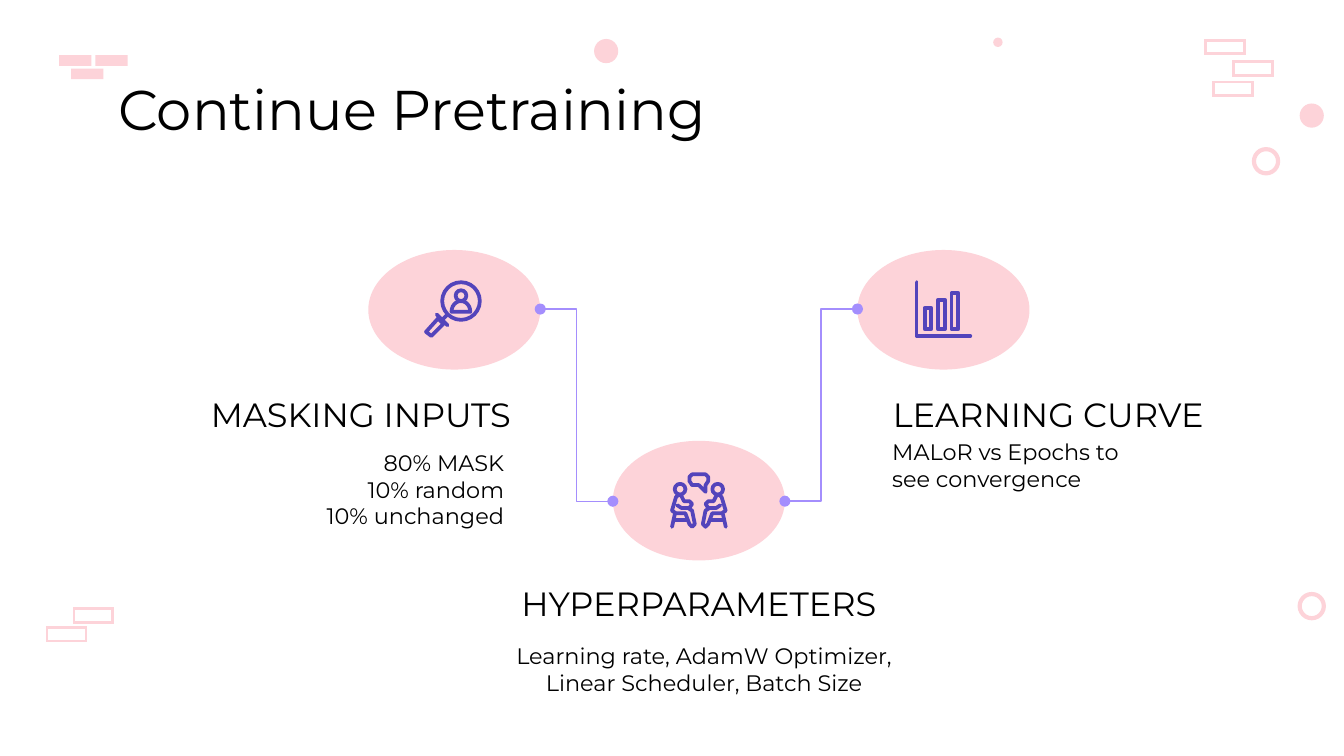
from dataclasses import dataclass
from math import cos, pi, sin

from lxml import etree
from pptx import Presentation
from pptx.dml.color import RGBColor
from pptx.enum import shapes as kinds, text as txt
from pptx.oxml.ns import qn
from pptx.util import Inches, Pt


@dataclass
class Theme:
    font: str = "Montserrat"
    ink: str = "000000"
    paper: str = "FFFFFF"
    pink: str = "FDD3D9"
    violet: str = "A48EFD"
    indigo: str = "5344BB"
    title: int = 30
    heading: int = 18
    body: int = 12


theme = Theme()
OVAL = kinds.MSO_SHAPE.OVAL
RECT = kinds.MSO_SHAPE.RECTANGLE
LEFT, CENTER, RIGHT = txt.PP_ALIGN.LEFT, txt.PP_ALIGN.CENTER, txt.PP_ALIGN.RIGHT
TOP, MIDDLE, BOTTOM = txt.MSO_ANCHOR.TOP, txt.MSO_ANCHOR.MIDDLE, txt.MSO_ANCHOR.BOTTOM

# Widescreen slide, 16 to 9
deck = Presentation()
deck.slide_width = Inches(10)
deck.slide_height = Inches(10) * 9 // 16
slide = deck.slides.add_slide(deck.slide_layouts[6])
slide.background.fill.solid()
slide.background.fill.fore_color.rgb = RGBColor.from_string(theme.paper)


def paint(shape, fill=None, line=None, weight=1.5, join="round"):
    """Give a shape a plain fill, an outline, or both."""
    shape.shadow.inherit = False
    if fill:
        shape.fill.solid()
        shape.fill.fore_color.rgb = RGBColor.from_string(fill)
    else:
        shape.fill.background()
    if line:
        shape.line.color.rgb = RGBColor.from_string(line)
        shape.line.width = Pt(weight)
        outline = shape.line._get_or_add_ln()
        outline.set("cap", "rnd" if join == "round" else "flat")
        etree.SubElement(outline, qn(f"a:{join}"))
    else:
        shape.line.fill.background()


def add_preset(kind, left, top, width, height, **style):
    shape = slide.shapes.add_shape(
        kind, Inches(left), Inches(top), Inches(width), Inches(height))
    paint(shape, **style)


# Corner decoration: solid bricks, outlined bricks, dots and rings
for left, top in [(0.53, 0.51), (0.44, 0.41), (0.71, 0.41)]:
    add_preset(RECT, left, top, 0.24, 0.08, fill=theme.pink)
for left, top in [(9.18, 0.46), (8.97, 0.3), (9.03, 0.61), (0.55, 4.53), (0.35, 4.67)]:
    add_preset(RECT, left, top, 0.29, 0.1, line=theme.pink, join="miter")
for left, top, size in [(7.39, 0.28, 0.07), (9.67, 0.77, 0.18), (4.42, 0.29, 0.18)]:
    add_preset(OVAL, left, top, size, size, fill=theme.pink)
for left, top in [(9.67, 4.42), (9.33, 1.11)]:
    add_preset(OVAL, left, top, 0.18, 0.18, line=theme.pink, weight=2.25)

# Title, headings and descriptions
texts = [
    ("Continue Pretraining", 0.78, 0.58, 7.88, 0.45, theme.title, LEFT, MIDDLE),
    ("HYPERPARAMETERS", 3.52, 4.25, 3.36, 0.49, theme.heading, CENTER, BOTTOM),
    ("Learning rate, AdamW Optimizer, Linear Scheduler, Batch Size",
     3.61, 4.68, 3.26, 0.89, theme.body, CENTER, TOP),
    ("LEARNING CURVE", 6.12, 2.84, 3.36, 0.49, theme.heading, CENTER, BOTTOM),
    ("MALoR vs Epochs to see convergence",
     6.54, 3.16, 2.03, 0.67, theme.body, LEFT, TOP),
    ("MASKING INPUTS", 1.42, 2.84, 2.53, 0.49, theme.heading, CENTER, BOTTOM),
    ("80% MASK\v10% random\v10% unchanged",
     1.88, 3.24, 1.97, 0.67, theme.body, RIGHT, TOP),
]
for wording, left, top, width, height, size, align, anchor in texts:
    frame = slide.shapes.add_textbox(
        Inches(left), Inches(top), Inches(width), Inches(height)).text_frame
    frame.word_wrap = True
    frame.vertical_anchor = anchor
    frame.margin_left = frame.margin_right = Inches(0.1)
    frame.margin_top = frame.margin_bottom = Inches(0.1)
    frame.text = wording
    paragraph = frame.paragraphs[0]
    paragraph.alignment = align
    paragraph.font.name = theme.font
    paragraph.font.size = Pt(size)
    paragraph.font.color.rgb = RGBColor.from_string(theme.ink)

# Three step ovals, evenly spaced
for step, top in enumerate([1.86, 3.28, 1.86]):
    add_preset(OVAL, 2.74 + 1.82 * step, top, 1.28, 0.89, fill=theme.pink)

# Elbow links between the steps
for start_x, start_y, end_x, end_y in [(4.02, 2.3, 4.56, 3.73), (5.84, 3.73, 6.38, 2.3)]:
    link = slide.shapes.add_connector(
        kinds.MSO_CONNECTOR.ELBOW,
        Inches(start_x), Inches(start_y), Inches(end_x), Inches(end_y))
    link.line.color.rgb = RGBColor.from_string(theme.violet)
    link.line.width = Pt(0.75)
    for end in ("a:headEnd", "a:tailEnd"):
        etree.SubElement(link.line._get_or_add_ln(), qn(end), type="oval")
    etree.SubElement(link._element.spPr, qn("a:effectLst"))

# Icon rounds: lens, its portrait head, two interviewers' heads
for center_x, center_y, radius in [(3.43, 2.24, 0.14), (3.43, 2.2, 0.04),
                                   (5.06, 3.64, 0.04), (5.34, 3.64, 0.04)]:
    add_preset(OVAL, center_x - radius, center_y - radius, 2 * radius, 2 * radius,
               line=theme.indigo, weight=2)

# Icon bars, standing on one base
for bar, height in enumerate([0.16, 0.22, 0.27]):
    add_preset(RECT, 6.88 + 0.1 * bar, 2.45 - height, 0.05, height,
               line=theme.indigo, weight=2)

# Icon strokes: points and whether the stroke closes
shoulders = [(3.43 - 0.07 * cos(pi * i / 12), 2.32 - 0.08 * sin(pi * i / 12))
             for i in range(13)]
lens_strokes = [
    (shoulders, True),
    ([(3.26, 2.37), (3.3, 2.41), (3.21, 2.5), (3.17, 2.47)], True),
    ([(3.25, 2.34), (3.33, 2.42)], False),
    ([(3.29, 2.38), (3.33, 2.34)], False),
]
chart_axes = [([(6.82, 2.1), (6.82, 2.5), (7.22, 2.5)], False)]
speech_bubble = [
    ([(5.15, 3.53), (5.25, 3.53), (5.27, 3.55), (5.27, 3.58), (5.25, 3.61),
      (5.25, 3.66), (5.2, 3.61), (5.15, 3.61), (5.13, 3.58), (5.13, 3.55)], True),
]
sitter = [
    ([(5.05, 3.68), (5.03, 3.7), (5, 3.8), (5.03, 3.82), (5.1, 3.82),
      (5.13, 3.9), (5.15, 3.92), (5.17, 3.9), (5.15, 3.8), (5.12, 3.78),
      (5.07, 3.78), (5.04, 3.76)], False),
    ([(5.05, 3.68), (5.07, 3.69), (5.09, 3.73), (5.13, 3.73), (5.15, 3.75),
      (5.13, 3.78)], False),
    ([(5.02, 3.83), (5, 3.92)], False),
    ([(5.02, 3.87), (5.11, 3.87)], False),
]
facing_sitter = [([(10.4 - x, y) for x, y in points], closed)
                 for points, closed in sitter]
for points, closed in lens_strokes + chart_axes + speech_bubble + sitter + facing_sitter:
    corners = [(Inches(x), Inches(y)) for x, y in points]
    builder = slide.shapes.build_freeform(*corners[0])
    builder.add_line_segments(corners[1:], close=closed)
    paint(builder.convert_to_shape(), line=theme.indigo, weight=2)

deck.save("out.pptx")
